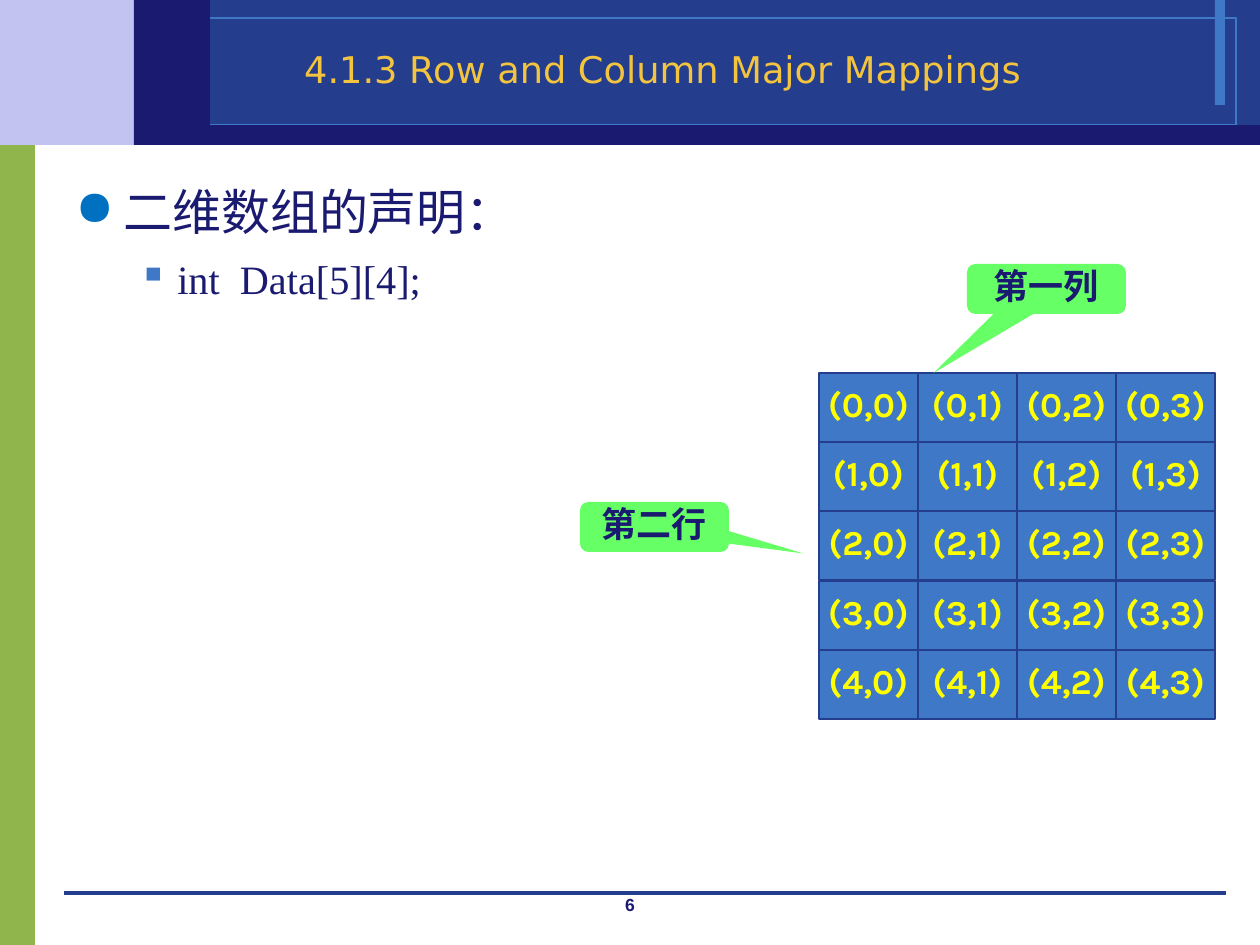
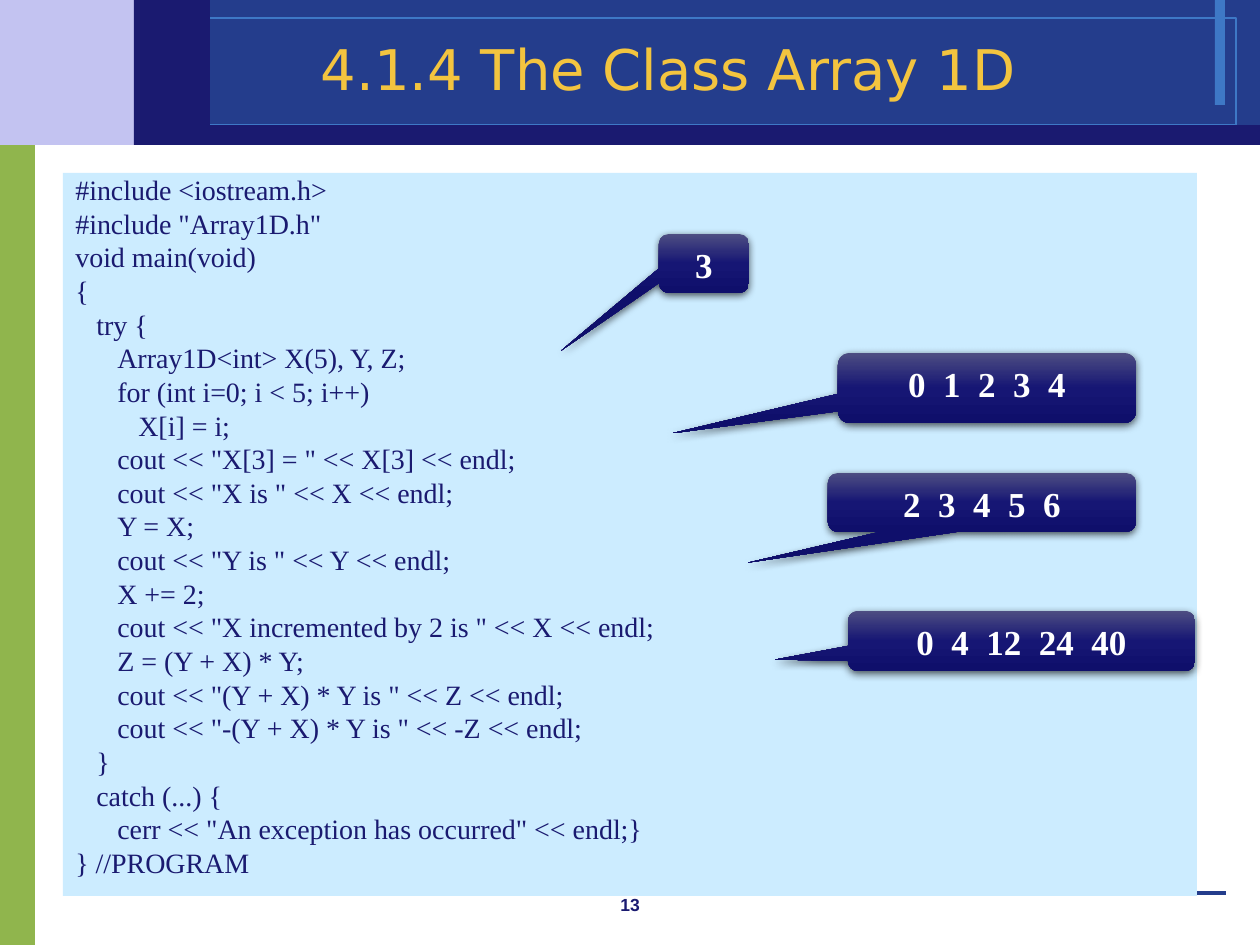
from copy import deepcopy

from pptx import Presentation, util as u
from pptx.dml.color import RGBColor
from pptx.enum import shapes, text
from pptx.oxml import parse_xml
from pptx.oxml.ns import nsdecls, qn

PX = 914400 / 126
COLORS = {
    "green": "90B54D", "lilac": "C3C3F1", "blue": "243D8C", "sky": "3E78C6",
    "navy": "1A1A70", "gold": "F3C43F", "dot": "0070C0", "yellow": "FFFF00",
    "lime": "66FF66", "paper": "CCECFF", "white": "FFFFFF",
    "sheen": "4D4D82", "mid": "161674", "deep": "0F0F6B",
}
SERIF, SANS, TITLE, ROUND = "Times New Roman", "Arial", "DejaVu Sans", "Karla"
CENTER, LEFT = text.PP_ALIGN.CENTER, text.PP_ALIGN.LEFT
TOP, MIDDLE = text.MSO_ANCHOR.TOP, text.MSO_ANCHOR.MIDDLE
RECT = shapes.MSO_SHAPE.RECTANGLE
CALLOUT = shapes.MSO_SHAPE.ROUNDED_RECTANGULAR_CALLOUT


def px(n):
    return u.Emu(round(n * PX))


def rgb(name):
    return RGBColor.from_string(COLORS[name])


class Deck:
    def __init__(self):
        self.prs = Presentation()
        self.prs.slide_width, self.prs.slide_height = px(1260), px(945)
        self.s = None

    def shape(self, box, fill=None, line=None, width=0, kind=RECT):
        sp = self.s.shapes.add_shape(kind, *map(px, box))
        sp.shadow.inherit = False
        if fill:
            sp.fill.solid()
            sp.fill.fore_color.rgb = rgb(fill)
        else:
            sp.fill.background()
        if line:
            sp.line.color.rgb = rgb(line)
            sp.line.width = u.Pt(width)
        else:
            sp.line.fill.background()
        return sp

    def line(self, x1, y1, x2, y2, color):
        c = self.s.shapes.add_connector(
            shapes.MSO_CONNECTOR.STRAIGHT, *map(px, (x1, y1, x2, y2)))
        c.line.color.rgb = rgb(color)
        c.line.width = u.Pt(0)
        c._element.spPr.append(parse_xml(f"<a:effectLst {nsdecls('a')}/>"))

    def textbox(self, box):
        return self.s.shapes.add_textbox(*map(px, box))

    def frame(self, sp, anchor=TOP, wrap=True):
        tf = sp.text_frame
        tf.word_wrap, tf.vertical_anchor = wrap, anchor
        return tf

    def para(self, tf, words, size, font=SERIF, color="navy", bold=False,
             align=CENTER, spacing=1.0, before=0, margin=0, hang=0, bullet=None):
        p = tf.paragraphs[0]
        if p.runs:
            p = tf.add_paragraph()
        p.alignment, p.line_spacing, p.space_before = align, spacing, u.Pt(before)
        pPr = p._p.get_or_add_pPr()
        pPr.set("marL", str(px(margin)))
        pPr.set("indent", str(px(-hang)))
        if bullet:
            char, tint = bullet
            pPr.append(parse_xml(f'<a:buClr {nsdecls("a")}>'
                                 f'<a:srgbClr val="{COLORS[tint]}"/></a:buClr>'))
            pPr.append(parse_xml(f'<a:buChar {nsdecls("a")} char="{char}"/>'))
        r = p.add_run()
        r.text = words
        r.font.size, r.font.name, r.font.bold = u.Pt(size), font, bold
        r.font.color.rgb = rgb(color)

    def callout(self, box, tip, words, fill="lime", **style):
        sp = self.shape(box, fill, kind=CALLOUT)
        sp.adjustments[0], sp.adjustments[1] = tip
        self.para(self.frame(sp), words, 20, bold=True, **style)
        return sp

    def glossy_callout(self, box, tip, words):
        sp = self.callout(box, tip, words, color="white")
        # Three-stop vertical gradient
        sp.fill.gradient()
        sp.fill.gradient_angle = 270
        stops = sp._element.spPr.find(".//" + qn("a:gsLst"))
        stops.append(deepcopy(stops[0]))
        for stop, pos, name in zip(sp.fill.gradient_stops, (0, 0.5, 1),
                                   ("sheen", "mid", "deep")):
            stop.position, stop.color.rgb = pos, rgb(name)
        # Soft shadow below
        sp._element.spPr.find(qn("a:effectLst")).append(parse_xml(
            f'<a:outerShdw {nsdecls("a")} blurRad="{u.Pt(4.5)}" dist="{u.Pt(1.5)}"'
            ' dir="5400000" rotWithShape="0"><a:srgbClr val="000000">'
            '<a:alpha val="63000"/></a:srgbClr></a:outerShdw>'))

    def slide(self, title, size, number):
        self.s = self.prs.slides.add_slide(self.prs.slide_layouts[6])
        # Side band and header
        self.shape((0, 135, 35, 810), "green")
        self.shape((0, 0, 193, 145), "lilac")
        self.shape((193, 0, 1067, 145), "blue")
        self.shape((1215, 0, 10, 105), "sky")
        self.shape((150, 18, 1086, 107), line="sky")
        self.line(64, 893, 1226, 893, "blue")
        self.shape((164, 125, 1096, 20), "navy")
        self.shape((134, 0, 76, 145), "navy")
        # Page number and title
        self.para(self.frame(self.textbox((483, 888, 294, 32))), str(number), 10,
                  font=SANS, bold=True)
        self.para(self.frame(self.textbox((150, 33, 1037, 78)), MIDDLE), title, size,
                  font=TITLE, color="gold", spacing=0.9)


def mappings_slide(d):
    d.slide("4.1.3 Row and Column Major Mappings ", 21, 6)
    # Declaration
    tf = d.frame(d.textbox((63, 169, 1134, 723)))
    d.para(tf, "二维数组的声明：", 28, align=LEFT, spacing=1.1, before=7,
           margin=48, hang=48, bullet=("●", "dot"))
    d.para(tf, "int  Data[5][4];", 23, align=LEFT, spacing=1.1, before=5.5,
           margin=102, hang=39, bullet=("▪", "sky"))
    # Array cells
    style = dict(font=ROUND, spacing=0.8, before=4)
    rows, cols, left, top, width, height = 5, 4, 819, 373, 397, 347
    for row in range(rows):
        for col in range(cols):
            box = (left + width * col // cols, top + height * row // rows,
                   width // cols, height // rows)
            cell = d.shape(box, "sky", "blue", 0.75)
            d.para(d.frame(cell, MIDDLE, wrap=False), f"({row},{col})", 20,
                   color="yellow", bold=True, **style)
    # Row and column labels
    d.callout((967, 264, 159, 50), (-0.71, 1.68), "第一列", **style)
    d.callout((580, 502, 149, 50), (1, 0.53), "第二行", **style)


CODE = """\
#include <iostream.h>
#include "Array1D.h"
void main(void)
{
\ttry {
\t\tArray1D<int> X(5), Y, Z;
\t\tfor (int i=0; i < 5; i++)
\t\t\tX[i] = i;
\t\tcout << "X[3] = " << X[3] << endl;
\t\tcout << "X is " << X << endl;
\t\tY = X;
\t\tcout << "Y is " << Y << endl;
\t\tX += 2;
\t\tcout << "X incremented by 2 is " << X << endl;
\t\tZ = (Y + X) * Y;
\t\tcout << "(Y + X) * Y is " << Z << endl;
\t\tcout << "-(Y + X) * Y is " << -Z << endl;
\t}
\tcatch (...) {
\t\tcerr << "An exception has occurred" << endl;}
} //PROGRAM"""


def array_slide(d):
    d.slide("4.1.4 The Class Array 1D", 32, 13)
    # Program listing, one indent step per tab
    tf = d.frame(d.shape((63, 173, 1134, 723), "paper"))
    for line in CODE.splitlines():
        words = line.lstrip("\t")
        d.para(tf, words, 16, align=LEFT, spacing=0.8, before=3.85,
               margin=21 * (len(line) - len(words)))
    # Program output
    for box, tip, words in (
        ((659, 234, 90, 59), (-1.59, 1.48), "3"),
        ((838, 353, 298, 70), (-1.06, 0.65), "0  1  2  3  4"),
        ((828, 473, 308, 59), (-0.76, 1.02), "2  3  4  5  6"),
        ((848, 611, 347, 60), (-0.71, 0.31), "0  4  12  24  40"),
    ):
        d.glossy_callout(box, tip, words)


def main():
    d = Deck()
    mappings_slide(d)
    array_slide(d)
    d.prs.save("out.pptx")


if __name__ == "__main__":
    main()
